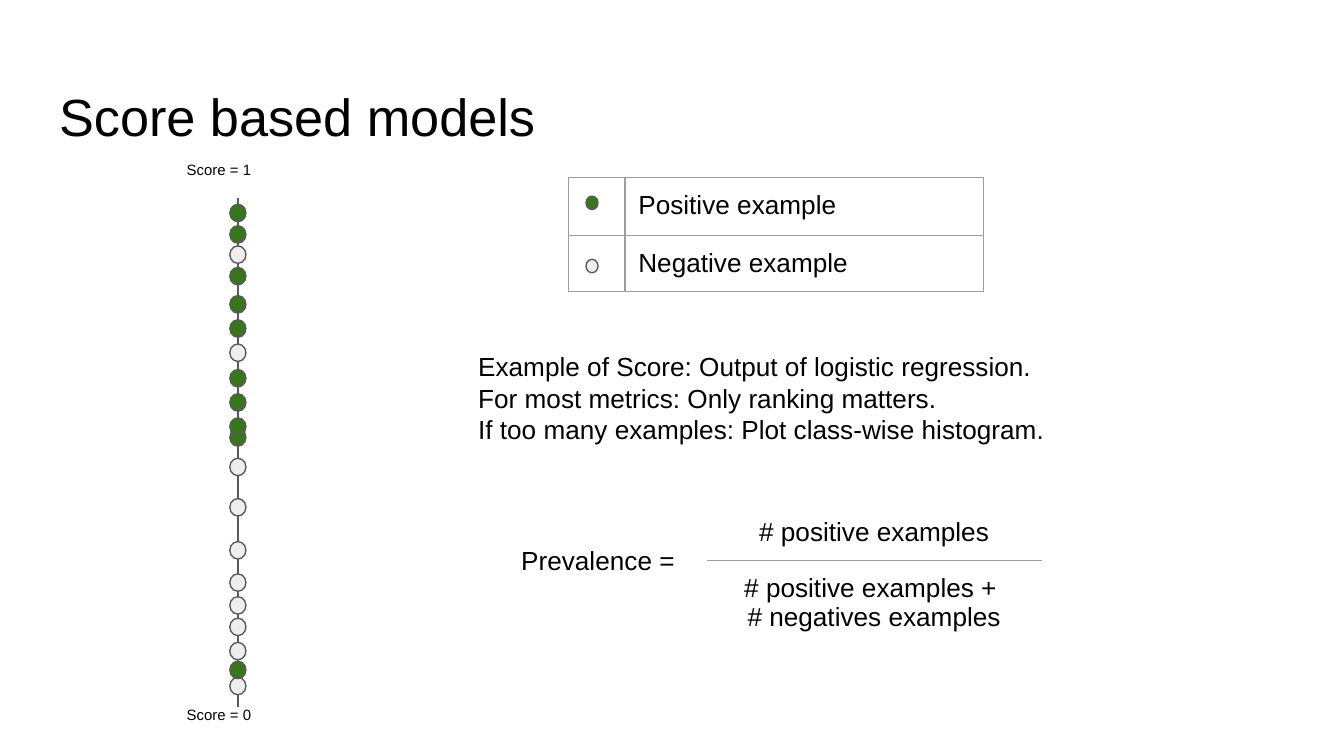
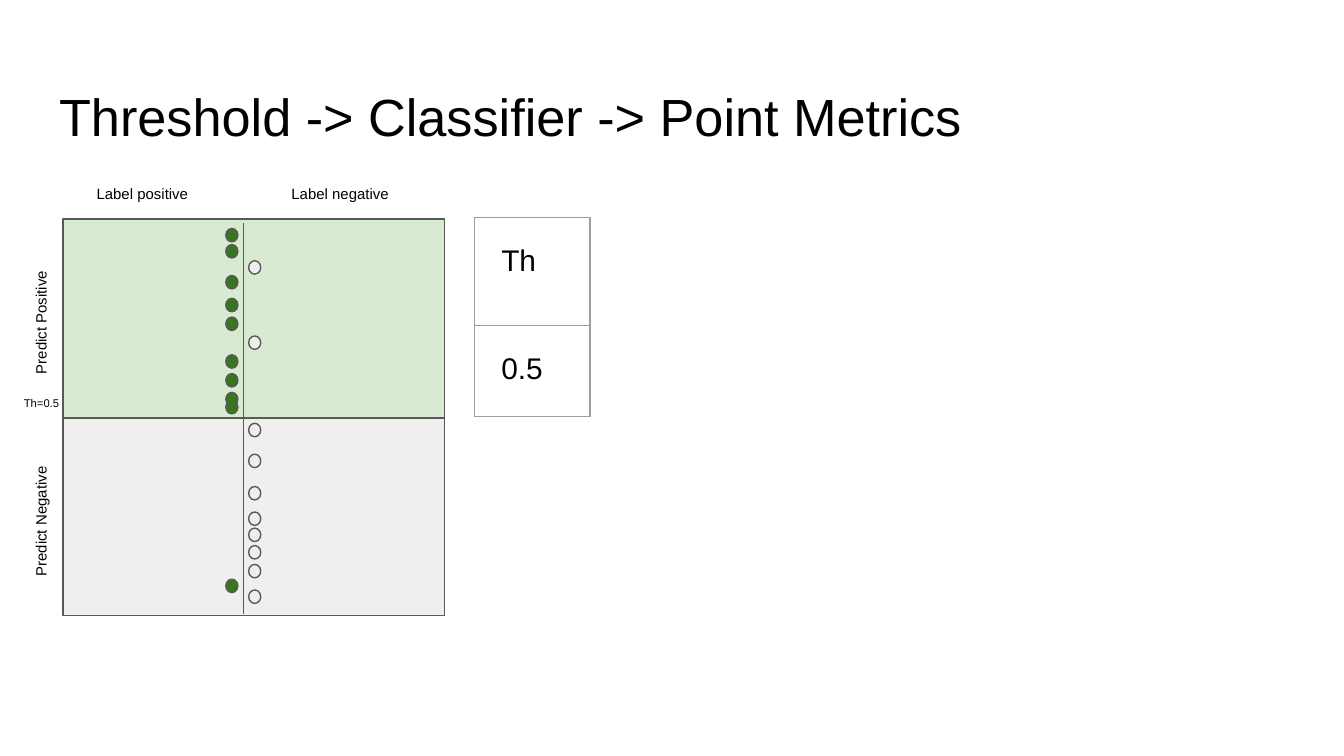
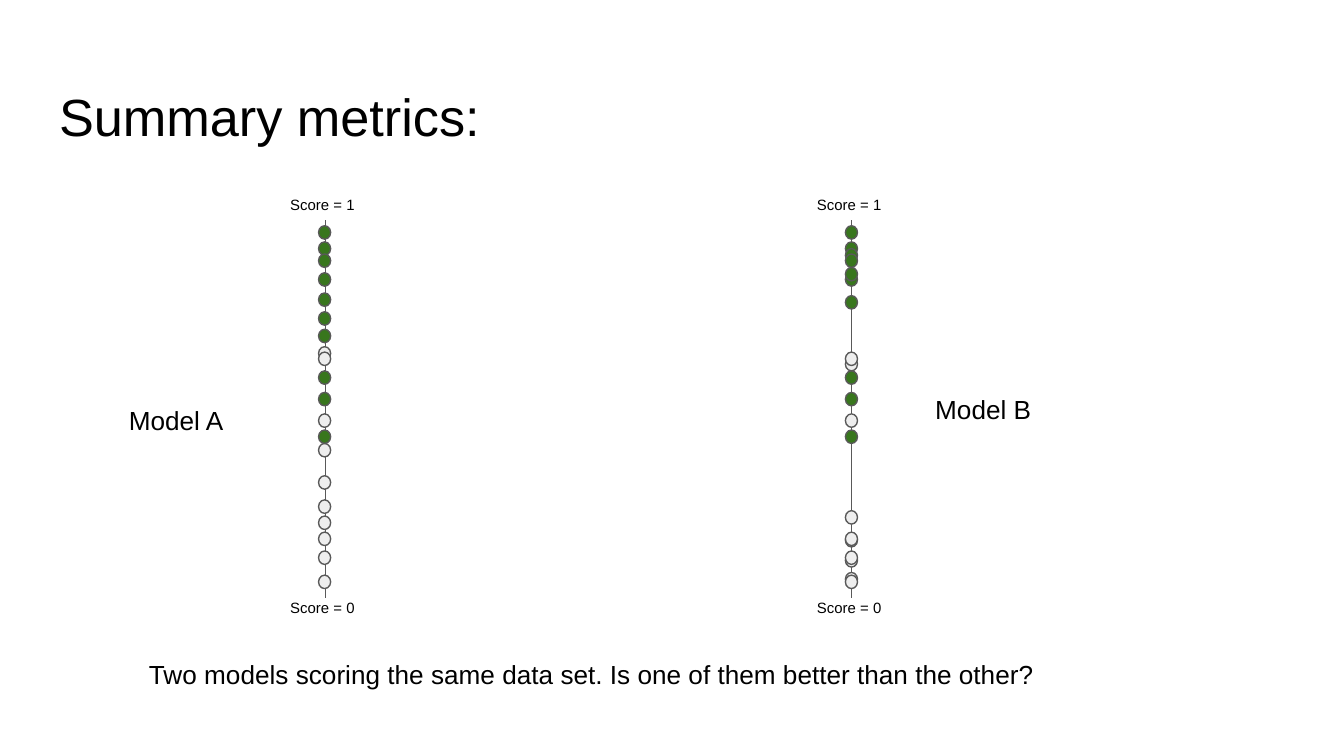
"""Builds three slides on score based models, thresholds and summary metrics."""
from lxml.etree import SubElement
from pptx import Presentation
from pptx.dml.color import RGBColor
from pptx.enum.shapes import MSO_CONNECTOR, MSO_SHAPE
from pptx.enum.text import MSO_ANCHOR, PP_ALIGN
from pptx.oxml import parse_xml
from pptx.oxml.ns import nsdecls, qn
from pptx.util import Inches, Pt

BLACK = RGBColor(0x00, 0x00, 0x00)
GREEN = RGBColor(0x38, 0x76, 0x1D)
PALE = RGBColor(0xD9, 0xEA, 0xD3)
SILVER = RGBColor(0xEF, 0xEF, 0xEF)
GREY = RGBColor(0xEE, 0xEE, 0xEE)
EDGE = RGBColor(0x59, 0x59, 0x59)
RULE = "9E9E9E"
FONT = "Arial"


def write(frame, text, size=14, align=PP_ALIGN.LEFT, inset=0.1, top=0.1):
    """Fill a text frame or table cell, one paragraph a line."""
    frame.margin_left = frame.margin_right = Inches(inset)
    frame.margin_top = frame.margin_bottom = Inches(top)
    frame.word_wrap = True
    frame.vertical_anchor = MSO_ANCHOR.TOP
    frame.text = text
    for para in frame.paragraphs:
        para.alignment = align
        for run in para.runs:
            run.font.name, run.font.size = FONT, Pt(size)
            run.font.color.rgb = BLACK


def grid(slide, left, top, cols, rows, texts, sides="LRTB", **form):
    """Add a plain table; sides names the borders drawn in each row."""
    table = slide.shapes.add_table(
        len(rows), len(cols), Inches(left), Inches(top),
        Inches(sum(cols)), Inches(sum(rows))).table
    table.first_row = table.horz_banding = False
    for col, width in zip(table.columns, cols):
        col.width = Inches(width)
    for i, high in enumerate(rows):
        table.rows[i].height = Inches(high)
        drawn = sides if isinstance(sides, str) else sides[i]
        for j in range(len(cols)):
            cell = table.cell(i, j)
            cell.fill.background()
            if texts[i][j]:
                write(cell.text_frame, texts[i][j], **form)
                inset = form.get("inset", 0.1)
                cell.margin_left = cell.margin_right = Inches(inset)
                cell.margin_top = cell.margin_bottom = Inches(inset)
            else:
                cell.margin_top = cell.margin_bottom = 0
            props = cell.fill._xPr
            for k, side in enumerate("LRTB"):
                ink = (f'<a:solidFill><a:srgbClr val="{RULE}"/></a:solidFill>'
                       if side in drawn else "<a:noFill/>")
                props.insert(k, parse_xml(
                    f'<a:ln{side} {nsdecls("a")} w="9525">{ink}</a:ln{side}>'))


deck = Presentation()
deck.slide_width, deck.slide_height = Inches(10), Inches(5.625)

slides = []
for name in ("Score based models", "Threshold -> Classifier -> Point Metrics",
             "Summary metrics:"):
    slide = deck.slides.add_slide(deck.slide_layouts[5])
    title = slide.shapes.title
    title.left, title.top = Inches(0.34), Inches(0.49)
    title.width, title.height = Inches(9.32), Inches(0.63)
    write(title.text_frame, name, size=28)
    title.text_frame.margin_top = Inches(0.14)
    slides.append(slide)
score, point, sums = slides

grid(score, 4.23, 1.32, [0.42, 2.67], [0.43, 0.42],
     [["", "Positive example"], ["", "Negative example"]])
grid(score, 5.26, 3.75, [2.49], [0.42, 0.42],
     [["# positive examples"],
      ["# positive examples + \n# negatives examples"]],
     sides=["B", "T"], align=PP_ALIGN.CENTER)
grid(point, 3.53, 1.62, [0.86], [0.8, 0.68], [["Th"], ["0.5"]],
     size=16, inset=0.2)

for top, tint in ((3.1, SILVER), (1.63, PALE)):
    half = point.shapes.add_shape(MSO_SHAPE.RECTANGLE, Inches(0.47),
                                  Inches(top), Inches(2.84), Inches(1.48))
    half.shadow.inherit = False
    half.fill.solid()
    half.fill.fore_color.rgb = tint
    half.line.color.rgb, half.line.width = EDGE, Pt(0.75)

for slide, x, start, end in ((score, 1.77, 1.47, 5.26), (point, 1.81, 1.66, 4.57),
                             (sums, 2.42, 1.64, 4.45), (sums, 6.335, 1.64, 4.45)):
    axis = slide.shapes.add_connector(MSO_CONNECTOR.STRAIGHT, Inches(x),
                                      Inches(start), Inches(x), Inches(end))
    axis.line.color.rgb, axis.line.width = EDGE, Pt(0.75)
    SubElement(axis.line._get_or_add_ln().getparent(), qn("a:effectLst"))

BIG, SMALL = (0.12, 0.13), (0.09, 0.1)
dots = (
    (score, 1.71, BIG, GREY,
     (1.83, 2.56, 3.41, 3.71, 4.03, 4.27, 4.44, 4.6, 4.78, 5.04)),
    (score, 1.71, BIG, GREEN,
     (1.52, 1.68, 1.99, 2.2, 2.38, 2.75, 3.19, 4.92, 2.93, 3.11)),
    (score, 4.36, SMALL, GREEN, (1.46,)),
    (score, 4.36, SMALL, GREY, (1.93,)),
    (point, 1.85, SMALL, GREY,
     (1.94, 2.5, 3.15, 3.38, 3.62, 3.81, 3.93, 4.06, 4.2, 4.39)),
    (point, 1.68, SMALL, GREEN,
     (1.7, 1.82, 2.05, 2.22, 2.36, 2.64, 2.98, 4.31, 2.78, 2.92)),
    (sums, 2.37, SMALL, GREY,
     (2.58, 2.62, 3.08, 3.3, 3.54, 3.72, 3.84, 3.96, 4.1, 4.28)),
    (sums, 2.37, SMALL, GREEN,
     (1.68, 1.8, 2.03, 2.18, 2.32, 2.76, 2.92, 3.2, 1.89, 2.45)),
    (sums, 6.29, SMALL, GREY,
     (2.66, 2.62, 3.08, 3.8, 4.12, 3.97, 4.26, 3.96, 4.1, 4.28)),
    (sums, 6.29, SMALL, GREEN,
     (1.68, 1.8, 2.03, 1.85, 1.99, 2.76, 2.92, 3.2, 1.89, 2.2)),
)
for slide, x, (wide, high), tint, tops in dots:
    for top in tops:
        dot = slide.shapes.add_shape(MSO_SHAPE.FLOWCHART_CONNECTOR, Inches(x),
                                     Inches(top), Inches(wide), Inches(high))
        dot.shadow.inherit = False
        dot.fill.solid()
        dot.fill.fore_color.rgb = tint
        dot.line.color.rgb, dot.line.width = EDGE, Pt(0.75)

MID = {"size": 8, "align": PP_ALIGN.CENTER}
labels = [
    (score, (3.78, 3.95, 3.43, 0.32), "Prevalence =", 0, {}),
    (score, (3.46, 2.56, 4.63, 0.81),
     "Example of Score: Output of logistic regression.\n"
     "For most metrics: Only ranking matters.\n"
     "If too many examples: Plot class-wise histogram.", 0, {"top": 0.05}),
    (point, (0.08, 2.9, 0.47, 0.27), "Th=0.5", 0, {"size": 6}),
    (point, (0.62, 1.31, 1.2, 0.14), "Label positive", 0, {"size": 8}),
    (point, (2.07, 1.31, 1.2, 0.14), "Label negative", 0, {"size": 8}),
    (point, (-0.41, 2.33, 1.3, 0.14), "Predict Positive", 270, MID),
    (point, (-0.41, 3.81, 1.3, 0.14), "Predict Negative", 270, MID),
    (sums, (1.01, 4.8, 7.7, 0.44),
     "Two models scoring the same data set. Is one of them better than the other?",
     0, {}),
    (sums, (0.86, 2.91, 1.01, 0.44), "Model A", 0, {}),
    (sums, (6.86, 2.83, 1.01, 0.44), "Model B", 0, {}),
]
for slide, x, top, base, wide, high in ((score, 1.29, 1.13, 5.18, 1.73, 0.18),
                                        (sums, 2.06, 1.39, 4.39, 1.28, 0.13),
                                        (sums, 5.98, 1.39, 4.39, 1.28, 0.13)):
    for y, mark in ((top, 1), (base, 0)):
        labels.append((slide, (x, y, wide, high), f"Score = {mark}", 0, {"size": 8}))

for slide, place, text, turn, form in labels:
    box = slide.shapes.add_textbox(*map(Inches, place))
    box.rotation = turn
    write(box.text_frame, text, **form)

deck.save("out.pptx")
